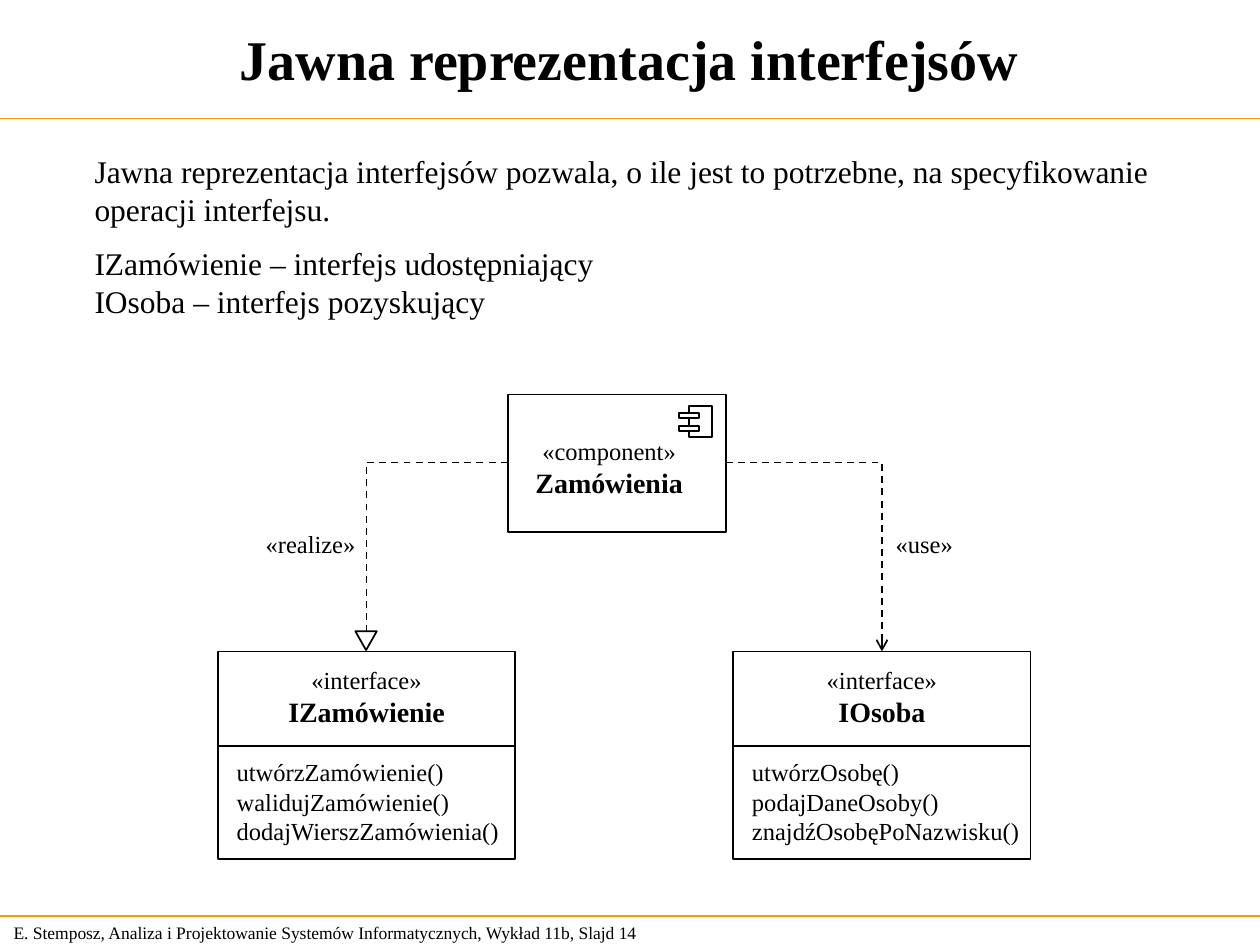
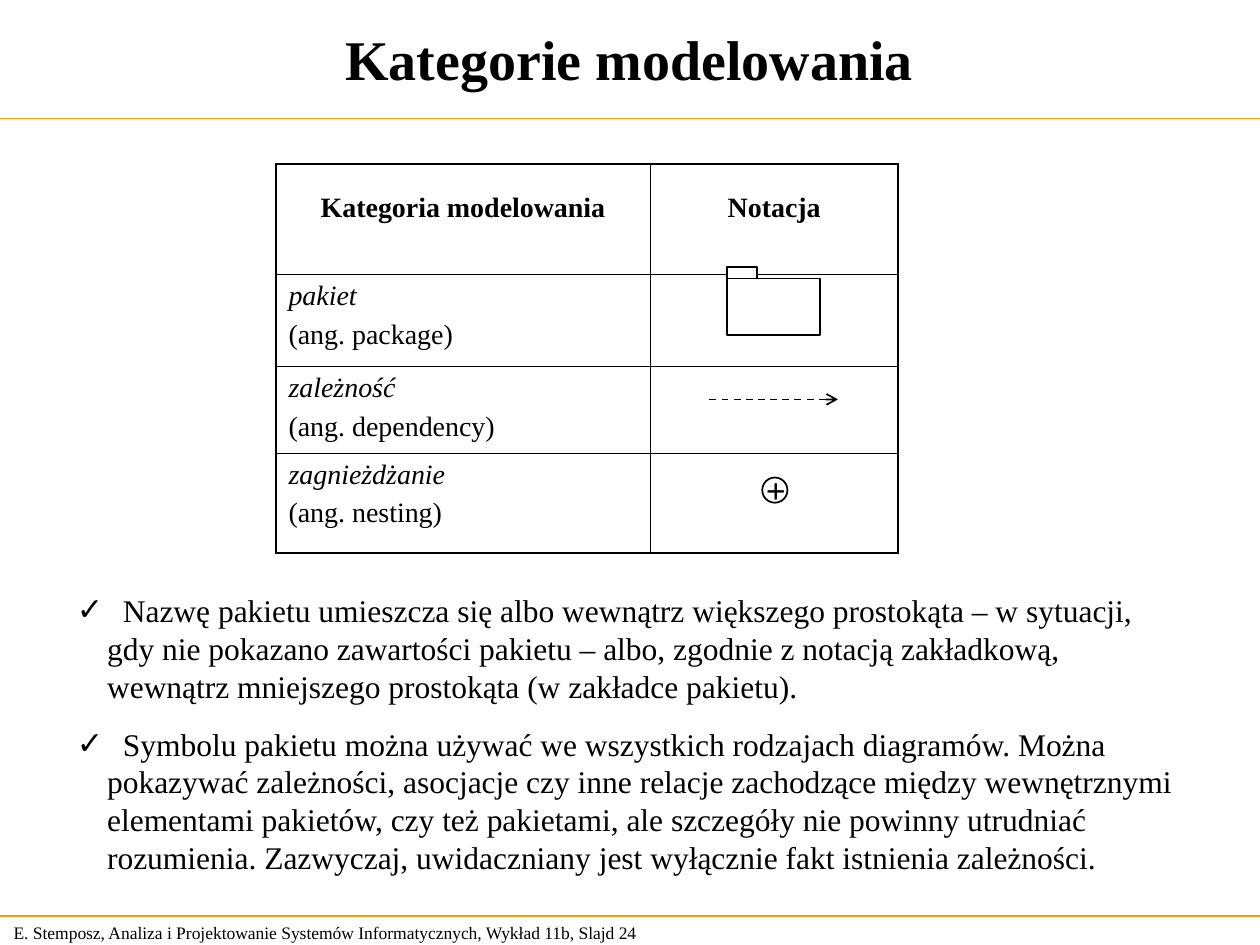
"""Builds two lecture slides on interfaces and packages in UML."""
from lxml.etree import SubElement as Sub
from pptx import Presentation
from pptx.dml.color import RGBColor as RGB
from pptx.enum.dml import MSO_LINE as Dash
from pptx.enum.shapes import MSO_CONNECTOR as Link, MSO_SHAPE as Kind
from pptx.enum.text import MSO_ANCHOR as Anchor, MSO_AUTO_SIZE as Auto, PP_ALIGN as Align
from pptx.oxml.ns import qn
from pptx.util import Inches, Pt

HUES = {"ink": "000000", "paper": "FFFFFF", "rule": "FF9900"}
FONT = "Times New Roman"
FOOT = "E. Stemposz, Analiza i Projektowanie Systemów Informatycznych, Wykład 11b, Slajd "
EN_SPACE = chr(0x2002)


def hue(name):
    return RGB.from_string(HUES[name])


def place(shape, box):
    shape.left, shape.top, shape.width, shape.height = map(Inches, box)


def write(para, text, size, bold=False, italic=False):
    run = para.add_run()
    run.text = text
    font = run.font
    font.name, font.size, font.bold, font.italic = FONT, Pt(size), bold, italic
    font.color.rgb = hue("ink")


def paras(frame, count):
    return [frame.paragraphs[0]] + [frame.add_paragraph() for _ in range(count - 1)]


def label(slide, box, lines, align=Align.LEFT):
    frame = slide.shapes.add_textbox(*map(Inches, box)).text_frame
    frame.word_wrap = False
    for para, (text, size, bold) in zip(paras(frame, len(lines)), lines):
        para.alignment = align
        write(para, text, size, bold)
    return frame


def shape(slide, box, kind=Kind.RECTANGLE, fill=None):
    item = slide.shapes.add_shape(kind, *map(Inches, box))
    item.shadow.inherit = False
    if fill:
        item.fill.solid()
        item.fill.fore_color.rgb = hue(fill)
    else:
        item.fill.background()
    item.line.color.rgb = hue("ink")
    item.line.width = Pt(1)
    return item


def line(slide, start, end, color="ink", width=1, dash=False, arrow=False, bent=False):
    kind = Link.ELBOW if bent else Link.STRAIGHT
    item = slide.shapes.add_connector(kind, *map(Inches, start + end))
    item.line.color.rgb = hue(color)
    item.line.width = Pt(width)
    if dash:
        item.line.dash_style = Dash.DASH
    props = item._element.spPr
    if bent:
        props.find(qn("a:prstGeom")).set("prst", "bentConnector2")
    if arrow:
        Sub(props.find(qn("a:ln")), qn("a:tailEnd"), type="arrow")
    Sub(props, qn("a:effectLst"))


def start(deck, title, number):
    slide = deck.slides.add_slide(deck.slide_layouts[1])
    for y in (0.94, 7.27):
        line(slide, (0, y), (10, y), "rule", 0.75)
    foot = label(slide, (0.01, 7.27, 5.4, 0.27), [(FOOT + str(number), 10, False)])
    foot.vertical_anchor = Anchor.MIDDLE
    head = slide.shapes.title
    place(head, (0, 0, 9.99, 0.92))
    frame = head.text_frame
    frame.auto_size, frame.vertical_anchor = Auto.NONE, Anchor.MIDDLE
    para = frame.paragraphs[0]
    para.alignment = Align.CENTER
    write(para, title, 32, True)
    return slide


def body(slide, box, items, bullet=None):
    """Fills the body placeholder from (text, space before) pairs."""
    holder = slide.placeholders[1]
    place(holder, box)
    frame = holder.text_frame
    frame.auto_size, frame.vertical_anchor = Auto.NONE, Anchor.TOP
    hang = Inches(0.24) if bullet else 0
    lead = EN_SPACE if bullet else ""
    for para, (text, gap) in zip(paras(frame, len(items)), items):
        props = para._p.get_or_add_pPr()
        props.set("marL", str(hang))
        props.set("indent", str(-hang))
        if bullet:
            tint = Sub(props, qn("a:buClr"))
            Sub(tint, qn("a:srgbClr"), val=HUES["ink"])
            Sub(props, qn("a:buChar"), char=bullet)
        else:
            Sub(props, qn("a:buNone"))
        para.space_before = Pt(gap)
        write(para, lead + text, 18)


def titled(slide, box, kind, name):
    label(slide, box, [(f"«{kind}»", 14, False), (name, 16, True)], Align.CENTER)


def part(slide, name):
    shape(slide, (4.03, 3.13, 1.73, 1.09))
    titled(slide, (4.15, 3.41, 1.37, 0.6), "component", name)
    shape(slide, (5.47, 3.22, 0.18, 0.25))
    for y in (3.28, 3.38):
        shape(slide, (5.39, y, 0.16, 0.04), fill="paper")


def face(slide, x, name, calls):
    wide = 2.36
    shape(slide, (x, 5.17, wide, 1.65))
    titled(slide, (x, 5.23, wide, 0.6), "interface", name)
    line(slide, (x, 5.92), (x + wide, 5.92))
    label(slide, (x + 0.05, 5.96, wide + 0.1, 0.8), [(call, 14, False) for call in calls])


def edge(cell, sides):
    props = cell._tc.get_or_add_tcPr()
    for side, outer in zip("LRTB", sides):
        rule = Sub(props, qn("a:ln" + side), w=str(Pt(1.08 if outer else 0.45)))
        fill = Sub(rule, qn("a:solidFill"))
        Sub(fill, qn("a:srgbClr"), val=HUES["ink"])
    cell.fill.background()


def grid(slide, heads, terms):
    cols, rows = (2.97, 1.97), (0.88, 0.73, 0.69, 0.79)
    spot = map(Inches, (2.19, 1.3, sum(cols), sum(rows)))
    table = slide.shapes.add_table(len(rows), len(cols), *spot).table
    table.first_row = table.horz_banding = False
    for col, wide in zip(table.columns, cols):
        col.width = Inches(wide)
    for row, high in zip(table.rows, rows):
        row.height = Inches(high)
    for r in range(len(rows)):
        for c in range(len(cols)):
            edge(table.cell(r, c), (c == 0, c == len(cols) - 1, r == 0, r == len(rows) - 1))
    for c, head in enumerate(heads):
        cell = table.cell(0, c)
        cell.margin_top = Inches(0.23)
        para = cell.text_frame.paragraphs[0]
        para.alignment = Align.CENTER
        write(para, head, 16, True)
    for r, (term, alias) in enumerate(terms, 1):
        first, second = paras(table.cell(r, 0).text_frame, 2)
        write(first, term, 16, italic=True)
        second.space_before = Pt(4)
        write(second, f"(ang. {alias})", 16)


def faces(deck):
    slide = start(deck, "Jawna reprezentacja interfejsów", 14)
    body(slide, (0.65, 1.16, 8.61, 1.44), [
        ("Jawna reprezentacja interfejsów pozwala, o ile jest to potrzebne, "
         "na specyfikowanie operacji interfejsu.", 0),
        ("IZamówienie – interfejs udostępniający", 9),
        ("IOsoba – interfejs pozyskujący", 0),
    ])
    part(slide, "Zamówienia")
    face(slide, 1.73, "IZamówienie",
         ["utwórzZamówienie()", "walidujZamówienie()", "dodajWierszZamówienia()"])
    face(slide, 5.82, "IOsoba",
         ["utwórzOsobę()", "podajDaneOsoby()", "znajdźOsobęPoNazwisku()"])
    tip = shape(slide, (2.82, 5.01, 0.17, 0.15), Kind.ISOSCELES_TRIANGLE)
    tip.rotation = 180
    line(slide, (4.03, 3.67), (2.91, 5.01), dash=True, bent=True)
    line(slide, (5.76, 3.67), (7, 5.17), dash=True, arrow=True, bent=True)
    label(slide, (2.01, 4.15, 1.1, 0.34), [("«realize»", 14, False)])
    label(slide, (7.01, 4.15, 0.9, 0.34), [("«use»", 14, False)])


def kinds(deck):
    slide = start(deck, "Kategorie modelowania", 24)
    grid(slide, ["Kategoria modelowania", "Notacja"], [
        ("pakiet", "package"), ("zależność", "dependency"), ("zagnieżdżanie", "nesting")])
    line(slide, (5.63, 3.17), (6.65, 3.17), dash=True, arrow=True)
    shape(slide, (5.77, 2.12, 0.24, 0.11), fill="paper")
    shape(slide, (5.77, 2.21, 0.74, 0.45), fill="paper")
    body(slide, (0.51, 4.64, 8.94, 2.36), [
        ("Nazwę pakietu umieszcza się albo wewnątrz większego prostokąta – w sytuacji, "
         "gdy nie pokazano zawartości pakietu – albo, zgodnie z notacją zakładkową, "
         "wewnątrz mniejszego prostokąta (w zakładce pakietu).", 0),
        ("Symbolu pakietu można używać we wszystkich rodzajach diagramów. Można "
         "pokazywać zależności, asocjacje czy inne relacje zachodzące między wewnętrznymi "
         "elementami pakietów, czy też pakietami, ale szczegóły nie powinny utrudniać "
         "rozumienia. Zazwyczaj, uwidaczniany jest wyłącznie fakt istnienia zależności.", 11.5),
    ], "✓")
    shape(slide, (6.05, 3.79, 0.2, 0.2), Kind.OVAL)
    label(slide, (5.98, 3.67, 0.36, 0.44), [("+", 20, True)])


def main():
    deck = Presentation()
    deck.slide_width, deck.slide_height = Inches(10), Inches(7.5)
    faces(deck)
    kinds(deck)
    deck.save("out.pptx")


if __name__ == "__main__":
    main()
